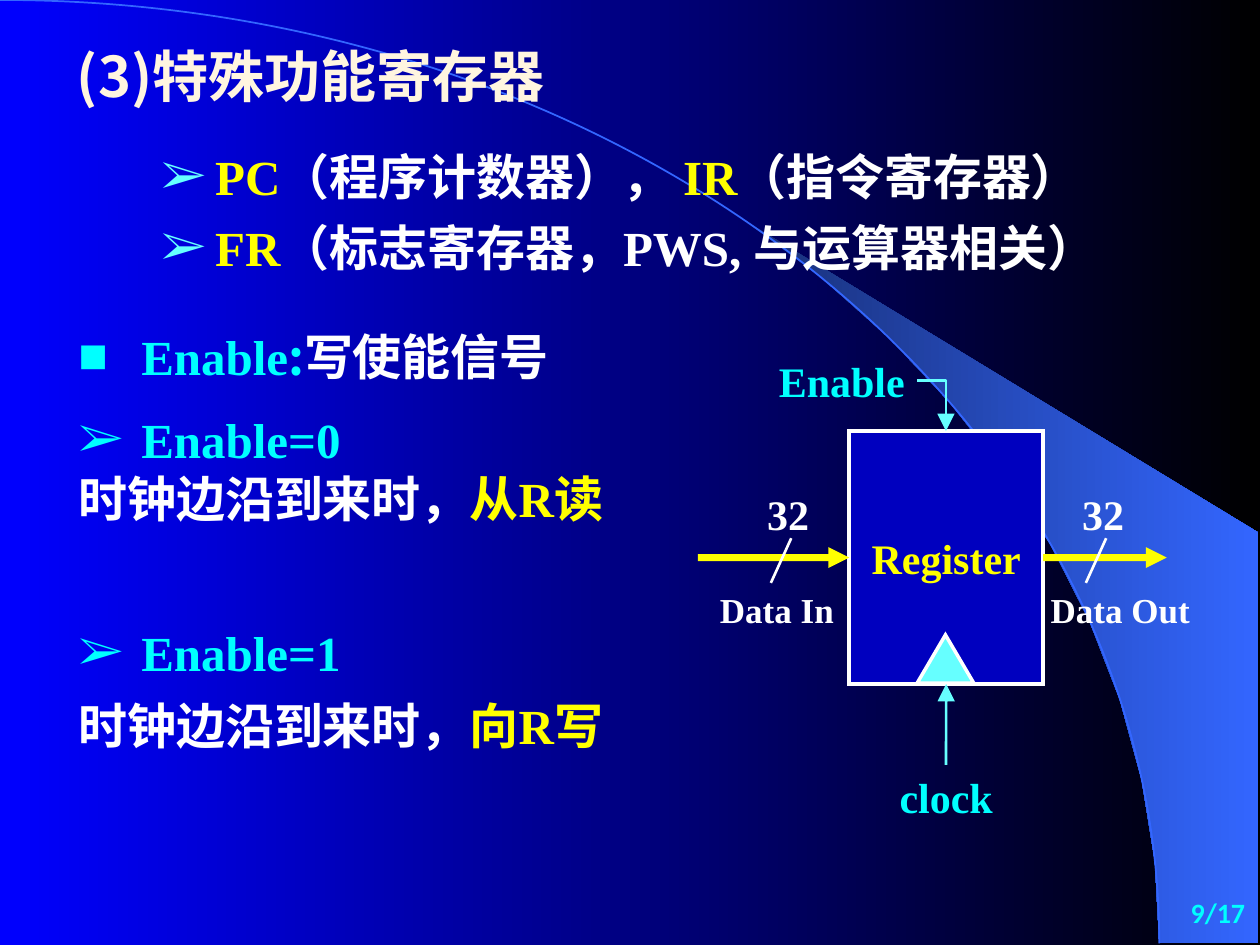
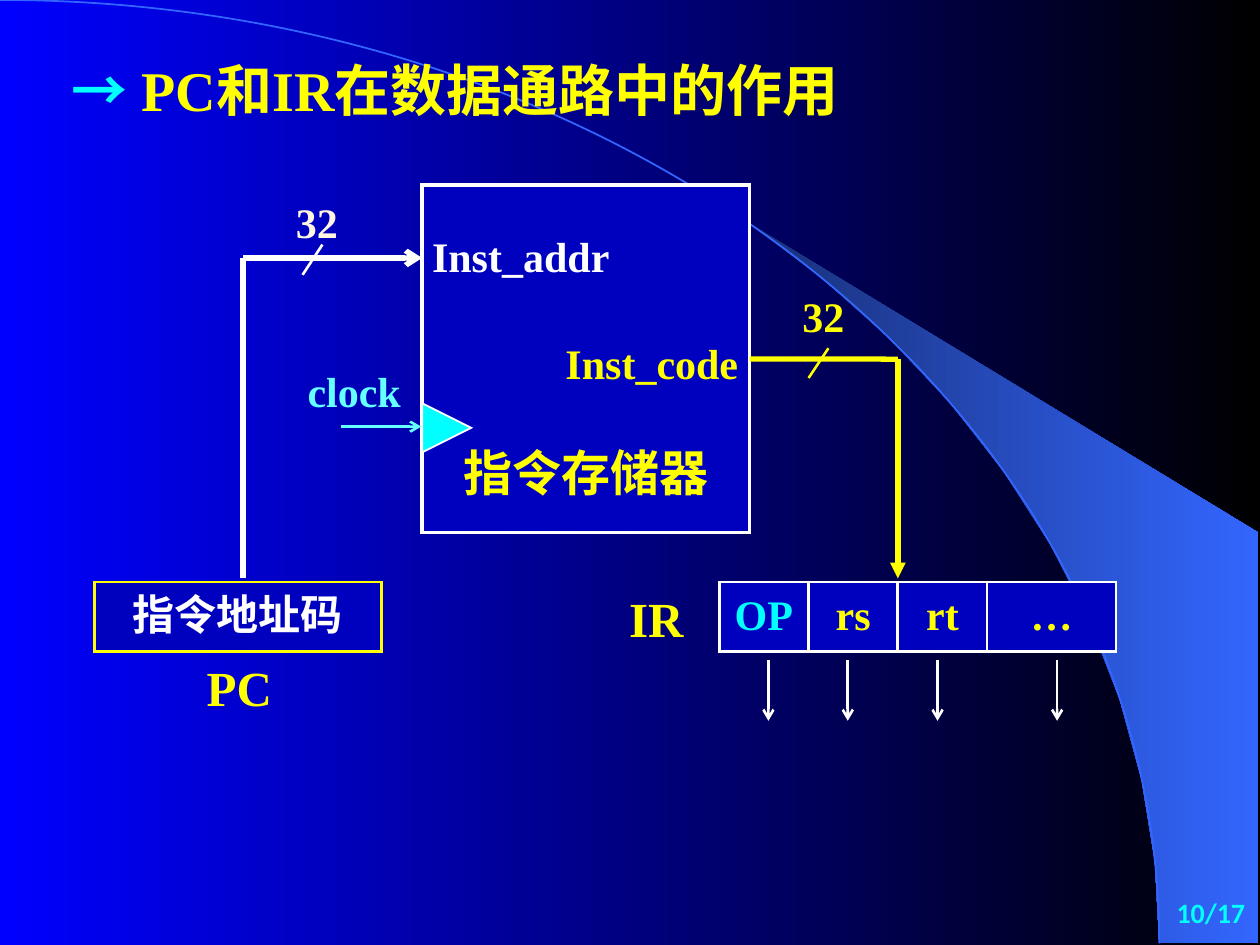
"""Build two slides on special registers and the PC and IR in the data path."""
import math
import lxml.etree
import pptx
import pptx.dml.color
import pptx.enum.shapes
import pptx.enum.text
import pptx.oxml.ns
import pptx.util

Cm = pptx.util.Cm
qn = pptx.oxml.ns.qn
rgb = pptx.dml.color.RGBColor.from_string
kinds = pptx.enum.shapes.MSO_SHAPE
joins = pptx.enum.shapes.MSO_CONNECTOR
sides = pptx.enum.text.PP_ALIGN
rows = pptx.enum.text.MSO_ANCHOR

ROMAN, HAN, SANS = "Times New Roman", "Noto Sans CJK SC", "Calibri"
WHITE, CREAM, GOLD = "FFFFFF", "FFF5E0", "FFFF00"
CYAN, PALE, NAVY, BLUE = "00FFFF", "66FFFF", "0000BF", "3366FF"
LEFT, MID, RIGHT = sides.LEFT, sides.CENTER, sides.RIGHT


def put(page, at, paras, size=24, side=LEFT, kind=None, fill=None, edge=WHITE,
        wide=1.5, row=rows.TOP, pad=0.25, foot=0.13, tint=CYAN, hang=(1.27, 1.27), gap=None):
    """Add a text box, or a preset shape, and write its paragraphs run by run."""
    spot = [Cm(n) for n in at]
    if kind is None:
        shape = page.shapes.add_textbox(*spot)
    else:
        shape = page.shapes.add_shape(kind, *spot)
        shape.shadow.inherit = False
        shape.fill.solid()
        shape.fill.fore_color.rgb = rgb(fill)
        shape.line.color.rgb = rgb(edge)
        shape.line.width = pptx.util.Pt(wide)
        edging = shape._element.spPr.find(qn("a:ln"))
        lxml.etree.SubElement(edging, qn("a:miter"), lim="800000")
    frame = shape.text_frame
    frame.word_wrap = True
    frame.vertical_anchor = row
    frame.margin_left = frame.margin_right = Cm(pad)
    frame.margin_top, frame.margin_bottom = Cm(0.13), Cm(foot)
    for i, (mark, runs) in enumerate(paras):
        para = frame.add_paragraph() if i else frame.paragraphs[0]
        para.alignment = side
        if mark:
            prop = para._p.get_or_add_pPr()
            prop.set("marL", str(Cm(hang[0])))
            prop.set("indent", str(-Cm(hang[1])))
            hue = lxml.etree.SubElement(prop, qn("a:buClr"))
            lxml.etree.SubElement(hue, qn("a:srgbClr"), val=tint)
            lxml.etree.SubElement(prop, qn("a:buFont"), typeface=ROMAN)
            lxml.etree.SubElement(prop, qn("a:buChar"), char=mark)
        if gap:
            para.line_spacing = gap
        for words, color, face in runs:
            run = para.add_run()
            run.text = words
            run.font.size = pptx.util.Pt(size)
            run.font.bold = True
            run.font.name = face
            run.font.color.rgb = rgb(color)
            lxml.etree.SubElement(run._r.get_or_add_rPr(), qn("a:ea"), typeface=HAN)
    return shape


def wire(page, ends, color, wide=1.5, head=None, kind=joins.STRAIGHT, big="med"):
    """Add a connector, with an arrowhead at its end if one is named."""
    line = page.shapes.add_connector(kind, *[Cm(n) for n in ends])
    line.line.color.rgb = rgb(color)
    line.line.width = pptx.util.Pt(wide)
    prop = line._element.spPr
    if head:
        lxml.etree.SubElement(prop.find(qn("a:ln")), qn("a:tailEnd"), type=head, w=big, len=big)
    lxml.etree.SubElement(prop, qn("a:effectLst"))
    return line


deck = pptx.Presentation()
deck.slide_width, deck.slide_height = Cm(25.4), Cm(19.05)

back = deck.slide_master.background.fill
back.gradient()
back.gradient_angle = 0
for stop, color in zip(back.gradient_stops, ("0000FF", "000000")):
    stop.color.rgb = rgb(color)

turns = [math.radians(n) for n in range(40, 91, 5)]
band = [(Cm(23.37 * math.sin(t)), Cm(19.02 * (1 - math.cos(t)))) for t in turns]
band += [(Cm(25.37), Cm(19.02)), (Cm(25.37), Cm(10.74))]
arc = [(0, 0), (Cm(12.9), 0), (Cm(23.37), Cm(8.51)), (Cm(23.37), Cm(19.02))]

pages = []
for number in ("9/17", "10/17"):
    page = deck.slides.add_slide(deck.slide_layouts[6])
    for dots, close in ((band, True), (arc, False)):
        path = page.shapes.build_freeform(*dots[0])
        path.add_line_segments(dots[1:], close=close)
        shape = path.convert_to_shape()
        shape.shadow.inherit = False
        if close:
            shape.fill.gradient()
            shape.fill.gradient_angle = 0
            for stop, color in zip(shape.fill.gradient_stops, ("182F76", BLUE)):
                stop.color.rgb = rgb(color)
            shape.line.fill.background()
        else:
            shape.fill.background()
            shape.line.color.rgb = rgb(BLUE)
            shape.line.width = pptx.util.Pt(1)
            trace = next(shape._element.iter(qn("a:path")))
            legs = trace.findall(qn("a:lnTo"))
            curve = lxml.etree.SubElement(trace, qn("a:cubicBezTo"))
            for leg in legs:
                curve.append(leg[0])
                trace.remove(leg)
    put(page, (20.07, 17.93, 5.28, 1.07), [("", [(number, CYAN, SANS)])], 16, RIGHT)
    pages.append(page)

page = pages[0]
put(page, (1.3, 0.71, 13, 1.63), [("", [("(3)特殊功能寄存器", CREAM, HAN)])], 32)
put(page, (2.01, 2.59, 21.49, 3.1), [
    ("➢", [("PC", GOLD, ROMAN), ("（程序计数器）， ", WHITE, ROMAN),
           ("IR", GOLD, ROMAN), ("（指令寄存器）", WHITE, ROMAN)]),
    ("➢", [("FR", GOLD, ROMAN), ("（标志寄存器，PWS, 与运算器相关）", WHITE, ROMAN)]),
], 28, tint=PALE, hang=(2.08, 1.09), gap=1.2)
put(page, (1.3, 6.45, 10.8, 1.47), [
    ("■", [("Enable", CYAN, ROMAN), (":", CYAN, HAN), ("写使能信号", WHITE, HAN)])], 28, pad=0.28)
for at, bit, act, gap in (((1.3, 8.13, 12.6, 2.64), "0", "从R读", None),
                          ((1.3, 12.12, 11.99, 3.25), "1", "向R写", 1.25)):
    put(page, at, [("➢", [("Enable=" + bit, CYAN, ROMAN)]),
                   ("", [("时钟边沿到来时，", WHITE, HAN), (act, GOLD, ROMAN)])],
        28, pad=0.28, gap=gap)

core = put(page, (17.12, 8.69, 3.91, 5.1), [("", [("Register", GOLD, ROMAN)])], 24, MID,
           kinds.RECTANGLE, NAVY, wide=2, row=rows.MIDDLE)
feed = wire(page, (14.07, 11.24, 17.12, 11.24), GOLD, 4, "triangle")
feed.end_connect(core, 1)
out = wire(page, (21.03, 11.24, 23.52, 11.24), GOLD, 4, "triangle")
out.begin_connect(core, 3)
for step in (0, 6.35):
    wire(page, (15.95 + step, 10.85, 15.54 + step, 11.75), WHITE)
    put(page, (14.86 + step, 9.72, 2.06, 1.3), [("", [("32", WHITE, ROMAN)])], 24, MID)
put(page, (18.49, 12.8, 1.14, 0.97), [], kind=kinds.ISOSCELES_TRIANGLE, fill=PALE, wide=2)
bend = wire(page, (18.49, 7.67, 19.07, 8.69), PALE, head="triangle", kind=joins.ELBOW, big="lg")
bend._element.spPr.find(qn("a:prstGeom")).set("prst", "bentConnector2")
tick = wire(page, (19.07, 15.42, 19.07, 13.79), PALE, head="triangle", big="lg")
tick.end_connect(core, 2)
for at, words, size, color, side in (
        ((13.89, 11.73, 3.2, 1.12), "Data In", 20, WHITE, RIGHT),
        ((20.9, 11.73, 3.78, 1.12), "Data Out", 20, WHITE, LEFT),
        ((14.91, 7.03, 3.61, 1.3), "Enable", 24, CYAN, RIGHT),
        ((17.27, 15.42, 3.61, 1.3), "clock", 24, CYAN, MID)):
    put(page, at, [("", [(words, color, ROMAN)])], size, side, pad=0.28)

page = pages[1]
store = put(page, (8.51, 3.73, 6.6, 7.01), [("", [("指令存储器", GOLD, HAN)])], 28, MID,
            kinds.RECTANGLE, NAVY, wide=2, row=rows.BOTTOM, foot=0.64)
for at, words, color, side, pad in (
        ((10.69, 6.75, 4.19, 1.14), "Inst_code", GOLD, RIGHT, 0),
        ((8.51, 4.57, 4.39, 1.17), "Inst_addr", WHITE, LEFT, 0.2)):
    put(page, at, [("", [(words, color, ROMAN)])], 24, side, row=rows.MIDDLE, pad=pad)
gate = put(page, (8.51, 8.13, 0.99, 0.99), [], kind=kinds.ISOSCELES_TRIANGLE, fill=CYAN, wide=1)
gate.rotation = 90
wire(page, (6.88, 8.6, 8.49, 8.6), PALE, head="arrow")
wire(page, (4.9, 5.2, 8.51, 5.2), WHITE, 3, "arrow")
wire(page, (6.5, 4.93, 6.1, 5.54), WHITE)
code = wire(page, (15.11, 7.24, 18.1, 7.24), GOLD, 3)
code.begin_connect(store, 3)
wire(page, (16.7, 7.02, 16.3, 7.62), GOLD)
for at, words, color in (((5.31, 7.23, 3.05, 1.3), "clock", PALE),
                         ((5.49, 3.83, 1.6, 1.3), "32", CREAM),
                         ((15.7, 5.72, 1.6, 1.3), "32", GOLD)):
    put(page, at, [("", [(words, color, ROMAN)])], 24, RIGHT, pad=0.28)

left = 14.5
for words, color, span, mid in (("OP", CYAN, 1.8, 15.49), ("rs", GOLD, 1.8, 17.09),
                                ("rt", GOLD, 1.8, 18.9), ("…", GOLD, 2.6, 21.31)):
    put(page, (left, 11.73, span, 1.4), [("", [(words, color, ROMAN)])], 24, MID,
        kinds.RECTANGLE, NAVY)
    wire(page, (mid, 13.3, mid, 14.53), WHITE, head="arrow")
    left += span
put(page, (1.9, 11.73, 5.79, 1.4), [("", [("指令地址码", WHITE, HAN)])], 24, MID,
    kinds.RECTANGLE, NAVY, GOLD)
for at, words in (((12.43, 11.73, 1.6, 1.45), "IR"), ((3.15, 13.13, 3.35, 1.4), "PC")):
    put(page, at, [("", [(words, GOLD, ROMAN)])], 28, MID, pad=0)
put(page, (1.19, 0.71, 16.1, 3.51), [
    ("", [("→", CYAN, HAN), (" PC和IR在数据通路中的作用", GOLD, ROMAN)])], 32, gap=1.2)
wire(page, (18.1, 7.24, 18.1, 11.66), GOLD, 3, "triangle")
wire(page, (4.9, 5.2, 4.9, 11.66), WHITE, 3)

deck.save("out.pptx")
